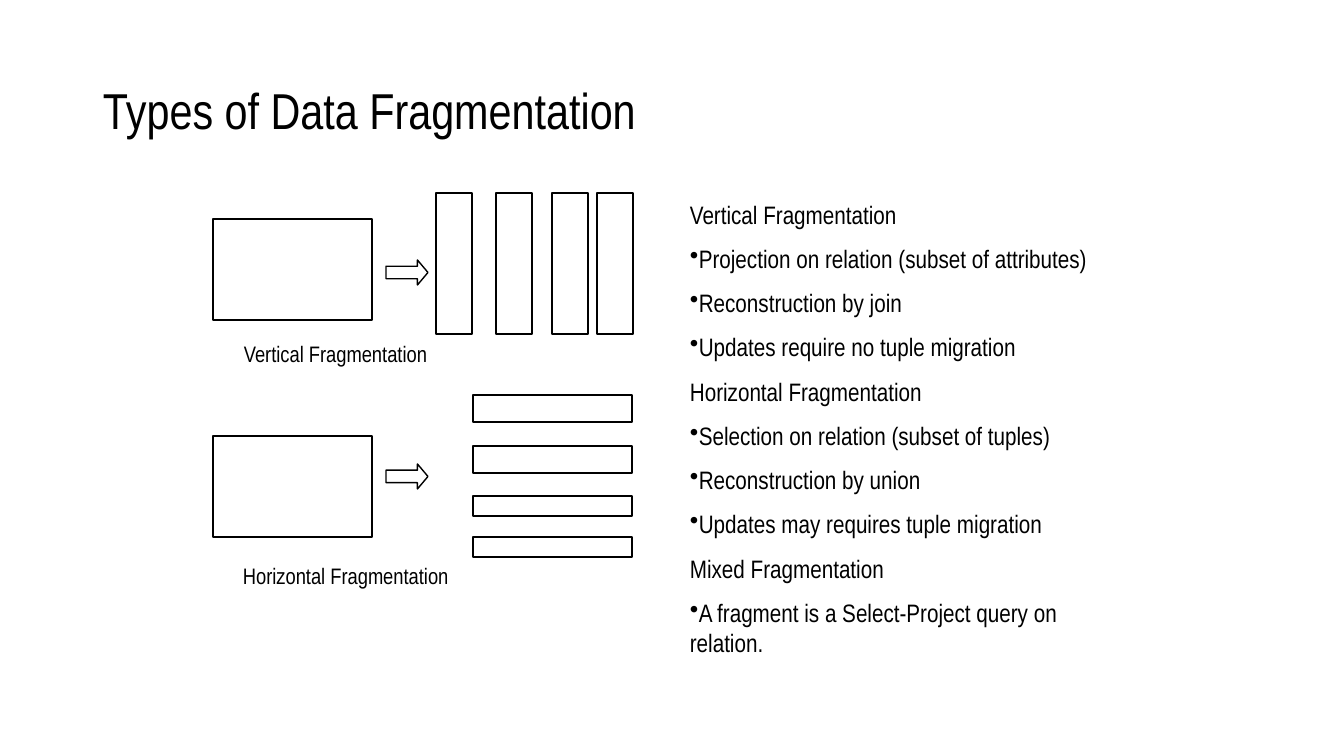
from dataclasses import dataclass

from lxml.etree import SubElement
from pptx import Presentation
from pptx.dml.color import RGBColor
from pptx.enum.shapes import MSO_SHAPE
from pptx.enum.text import MSO_ANCHOR
from pptx.oxml.ns import qn
from pptx.util import Emu, Pt

# Content: boxes are left, top, width, height in px
TITLE = "Types of Data Fragmentation"
TYPES = [
    ("Vertical Fragmentation", [
        "Projection on relation (subset of attributes)",
        "Reconstruction by join",
        "Updates require no tuple migration",
    ]),
    ("Horizontal Fragmentation", [
        "Selection on relation (subset of tuples)",
        "Reconstruction by union",
        "Updates may requires tuple migration",
    ]),
    ("Mixed Fragmentation", [
        "A fragment is a Select-Project query on relation.",
    ]),
]
DIAGRAMS = [
    {
        "caption": TYPES[0][0],
        "caption_box": (234, 335, 205, 37),
        "relation_top": 219,
        "arrow_top": 260,
        "fragments": [(left, 193, 36, 141) for left in (436, 496, 552, 597)],
    },
    {
        "caption": TYPES[1][0],
        "caption_box": (233, 557, 226, 37),
        "relation_top": 436,
        "arrow_top": 464,
        "fragments": [(473, top, 159, height) for top, height in
                      ((395, 27), (446, 27), (496, 20), (537, 20))],
    },
]
TITLE_BOX = (93, 40, 1159, 146)
SUMMARY_BOX = (680, 194, 446, 480)
RELATION_LEFT, RELATION_SIZE = 213, (159, 101)
ARROW_LEFT, ARROW_SIZE = 386, (42, 25)


@dataclass(frozen=True)
class Theme:
    font: str = "Arial Narrow"
    ink: RGBColor = RGBColor(0, 0, 0)
    title: int = 36
    caption: int = 16
    summary: int = 18
    outline: int = 1
    summary_gap: int = 10


THEME = Theme()
PX = 914400 / 100.8


def emu(box):
    return [Emu(round(value * PX)) for value in box]


def add_text(slide, box, lines, size, wrap=True, anchor=MSO_ANCHOR.TOP,
             gap=0, spacing=None):
    """Write (text, bulleted) lines into one text box."""
    frame = slide.shapes.add_textbox(*emu(box)).text_frame
    frame.word_wrap = wrap
    frame.vertical_anchor = anchor
    for index, (text, bulleted) in enumerate(lines):
        paragraph = frame.add_paragraph() if index else frame.paragraphs[0]
        if index:
            paragraph.space_before = Pt(gap)
        if spacing:
            paragraph.line_spacing = spacing
        if bulleted:
            SubElement(paragraph._p.get_or_add_pPr(), qn("a:buChar"), char="•")
        run = paragraph.add_run()
        run.text = text
        run.font.name = THEME.font
        run.font.size = Pt(size)
        run.font.color.rgb = THEME.ink


def add_outline(slide, kind, box):
    outline = slide.shapes.add_shape(kind, *emu(box))
    outline.shadow.inherit = False
    outline.fill.background()
    outline.line.color.rgb = THEME.ink
    outline.line.width = Pt(THEME.outline)
    return outline


def main():
    deck = Presentation()
    deck.slide_width, deck.slide_height = emu((1344, 756))
    slide = deck.slides.add_slide(deck.slide_layouts[6])

    # Title
    add_text(slide, TITLE_BOX, [(TITLE, False)], THEME.title,
             anchor=MSO_ANCHOR.MIDDLE, spacing=0.9)

    # Diagrams: relation, arrow, fragments, caption
    for diagram in DIAGRAMS:
        relation = (RELATION_LEFT, diagram["relation_top"], *RELATION_SIZE)
        for box in [relation, *diagram["fragments"]]:
            add_outline(slide, MSO_SHAPE.RECTANGLE, box)
        arrow = add_outline(slide, MSO_SHAPE.RIGHT_ARROW,
                            (ARROW_LEFT, diagram["arrow_top"], *ARROW_SIZE))
        arrow.adjustments[1] = 0.42
        add_text(slide, diagram["caption_box"], [(diagram["caption"], False)],
                 THEME.caption, wrap=False)

    # Summary of the types
    summary = []
    for heading, points in TYPES:
        summary.append((heading, False))
        summary += [(point, True) for point in points]
    add_text(slide, SUMMARY_BOX, summary, THEME.summary, gap=THEME.summary_gap)

    deck.save("out.pptx")


if __name__ == "__main__":
    main()
